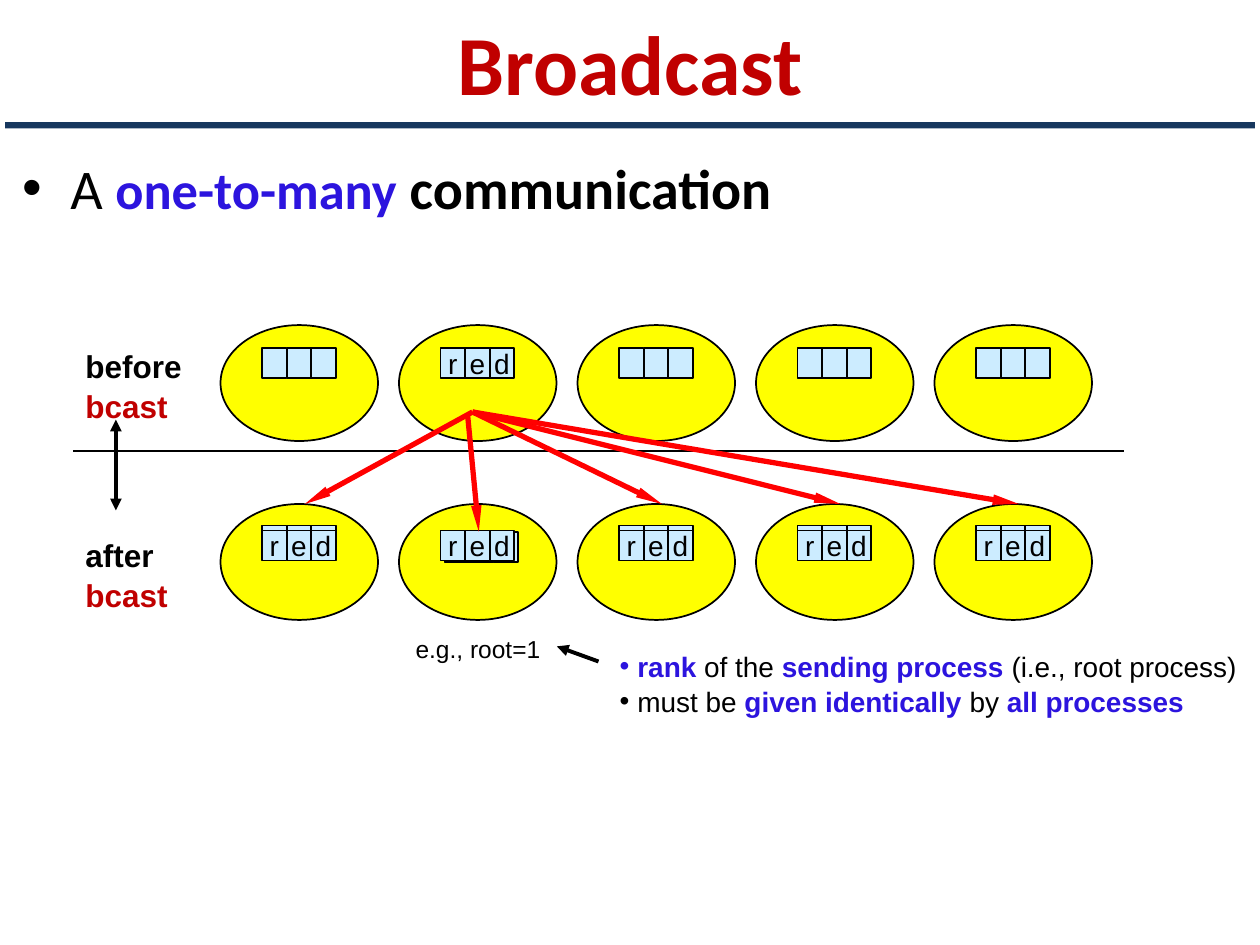
from dataclasses import dataclass
from typing import NamedTuple

from lxml import etree
from pptx import Presentation
from pptx import util as u
from pptx.dml.color import RGBColor
from pptx.enum import shapes, text
from pptx.oxml.ns import qn


@dataclass(frozen=True)
class Theme:
    ink: str = "000000"
    red: str = "C00000"
    blue: str = "2C14DE"
    navy: str = "17375E"
    node: str = "FFFF00"
    cell: str = "CCECFF"
    send: str = "FF0000"
    white: str = "FFFFFF"
    head: str = "Calibri"
    body: str = "Arial"
    title: int = 48
    lead: int = 32
    key: int = 30
    label: int = 18
    item: int = 16
    note: int = 14


T = Theme()


class Run(NamedTuple):
    words: str
    size: int
    color: str = T.ink
    bold: bool = False
    font: str = T.body


class Box(NamedTuple):
    x: float
    y: float
    w: float
    h: float


class Arrow(NamedTuple):
    x1: float
    y1: float
    x2: float
    y2: float
    color: str = T.ink
    width: float = 2.25
    head: bool = False
    tail: bool = True
    size: tuple = ("med", "med")


def inches(*vals: float) -> list:
    return [u.Inches(v) for v in vals]


def write(para, runs: list) -> None:
    for part in runs:
        for i, words in enumerate(part.words.split("\n")):
            if i:
                para.add_line_break()
            if not words:
                continue
            run = para.add_run()
            run.text = words
            run.font.name = part.font
            run.font.size = u.Pt(part.size)
            run.font.bold = part.bold
            run.font.color.rgb = RGBColor.from_string(part.color)


def bullet(para, gap: float) -> None:
    props = para._p.get_or_add_pPr()
    props.set("marL", str(u.Inches(gap)))
    props.set("indent", str(-u.Inches(gap)))
    etree.SubElement(props, qn("a:buFont")).set("typeface", "Arial")
    etree.SubElement(props, qn("a:buChar")).set("char", "•")


def add_text(slide, box: Box, paras: list, gap: float = 0,
             wrap: bool = True, space: float = 1.0):
    shape = slide.shapes.add_textbox(*inches(*box))
    frame = shape.text_frame
    frame.word_wrap = wrap
    for i, runs in enumerate(paras):
        para = frame.add_paragraph() if i else frame.paragraphs[0]
        para.line_spacing = space
        if gap:
            bullet(para, gap)
        write(para, runs)
    return shape


def add_form(slide, kind, box: Box, fill: str, edge: bool = True):
    shape = slide.shapes.add_shape(kind, *inches(*box))
    shape.shadow.inherit = False
    shape.fill.solid()
    shape.fill.fore_color.rgb = RGBColor.from_string(fill)
    if edge:
        shape.line.color.rgb = RGBColor.from_string(T.ink)
        shape.line.width = u.Pt(1)
    else:
        shape.line.fill.background()
    return shape


def add_cells(slide, x: float, y: float, words: str = "") -> None:
    for i in range(3):
        box = Box(x + i * CELL, y, CELL, 0.24)
        shape = add_form(slide, shapes.MSO_SHAPE.RECTANGLE, box, T.cell)
        if words:
            frame = shape.text_frame
            frame.word_wrap = False
            frame.vertical_anchor = text.MSO_ANCHOR.MIDDLE
            para = frame.paragraphs[0]
            para.alignment = text.PP_ALIGN.CENTER
            write(para, [Run(words[i], T.item)])


def add_arrow(slide, arrow: Arrow) -> None:
    line = slide.shapes.add_connector(
        shapes.MSO_CONNECTOR.STRAIGHT, *inches(*arrow[:4]))
    line.line.color.rgb = RGBColor.from_string(arrow.color)
    line.line.width = u.Pt(arrow.width)
    ends = line.line._get_or_add_ln()
    for tag, used in (("a:headEnd", arrow.head), ("a:tailEnd", arrow.tail)):
        if used:
            wide, long = arrow.size
            etree.SubElement(ends, qn(tag), type="triangle", w=wide, len=long)
    etree.SubElement(line._element.spPr, qn("a:effectLst"))


# Grid of processes
COUNT, ROOT = 5, 1
LEFT, STEP, CELL = 1.75, 17 / 12, 0.195
BEFORE, AFTER = 2.58, 4.0
WORD = "red"


def main() -> None:
    deck = Presentation()
    deck.slide_width, deck.slide_height = inches(10, 7.5)
    slide = deck.slides.add_slide(deck.slide_layouts[5])

    # Title and rule below it
    title = slide.shapes.title
    title.left, title.top, title.width, title.height = inches(
        0.04, 0.02, 9.92, 0.94)
    title.text_frame.vertical_anchor = text.MSO_ANCHOR.MIDDLE
    para = title.text_frame.paragraphs[0]
    para.alignment = text.PP_ALIGN.CENTER
    write(para, [Run("Broadcast", T.title, T.red, True, T.head)])
    add_form(slide, shapes.MSO_SHAPE.RECTANGLE, Box(0.04, 0.97, 9.92, 0.05),
             T.navy, edge=False)

    # Lead statement
    add_text(slide, Box(0.08, 1.17, 9.5, 0.6), [[
        Run("A ", T.lead, font=T.head),
        Run("one-to-many", T.key, T.blue, True, T.head),
        Run(" ", T.lead, font=T.head),
        Run("communication", T.lead, bold=True, font=T.head)]], gap=0.38)

    # Processes before and after the call
    for i in range(COUNT):
        x = LEFT + i * STEP
        for y in (BEFORE, AFTER):
            add_form(slide, shapes.MSO_SHAPE.OVAL, Box(x, y, 1.25, 0.92),
                     T.node)
        root = i == ROOT
        add_cells(slide, x + 0.33, 2.76, WORD if root else "")
        add_cells(slide, x + (0.36 if root else 0.33),
                  4.22 if root else 4.17)
        add_cells(slide, x + 0.33, 4.21, WORD)

    # Time divider and row labels
    add_arrow(slide, Arrow(0.58, 3.58, 8.92, 3.58, width=1, tail=False))
    add_arrow(slide, Arrow(0.92, 3.33, 0.92, 4.05, head=True))
    for when, y in (("before", 2.69), ("after", 4.19)):
        add_text(slide, Box(0.58, y, 1.08, 0.71), [[
            Run(when + "\n", T.label, bold=True),
            Run("bcast", T.label, T.red, True)]], space=1.05)

    # Root note and its explanation
    add_text(slide, Box(3.2, 4.98, 1.24, 0.33),
             [[Run("e.g., root=1", T.note)]], wrap=False)
    add_arrow(slide, Arrow(4.75, 5.25, 4.42, 5.13))
    note = add_text(slide, Box(4.82, 5.09, 5.18, 0.64), [
        [Run("rank ", T.item, T.blue, True),
         Run("of the ", T.item),
         Run("sending process ", T.item, T.blue, True),
         Run("(i.e., root process)", T.item)],
        [Run("must be ", T.item),
         Run("given identically ", T.item, T.blue, True),
         Run("by ", T.item),
         Run("all processes", T.item, T.blue, True)]], gap=0.14, space=1.05)
    note.fill.solid()
    note.fill.fore_color.rgb = RGBColor.from_string(T.white)

    # Messages from the root to every process
    for i in range(COUNT):
        ends = ((3.71, 3.28, 3.8, 4.22) if i == ROOT
                else (3.75, 3.27, LEFT + 0.67 + i * STEP, AFTER))
        add_arrow(slide, Arrow(*ends, T.send, 3, size=("sm", "lg")))

    deck.save("out.pptx")


if __name__ == "__main__":
    main()
